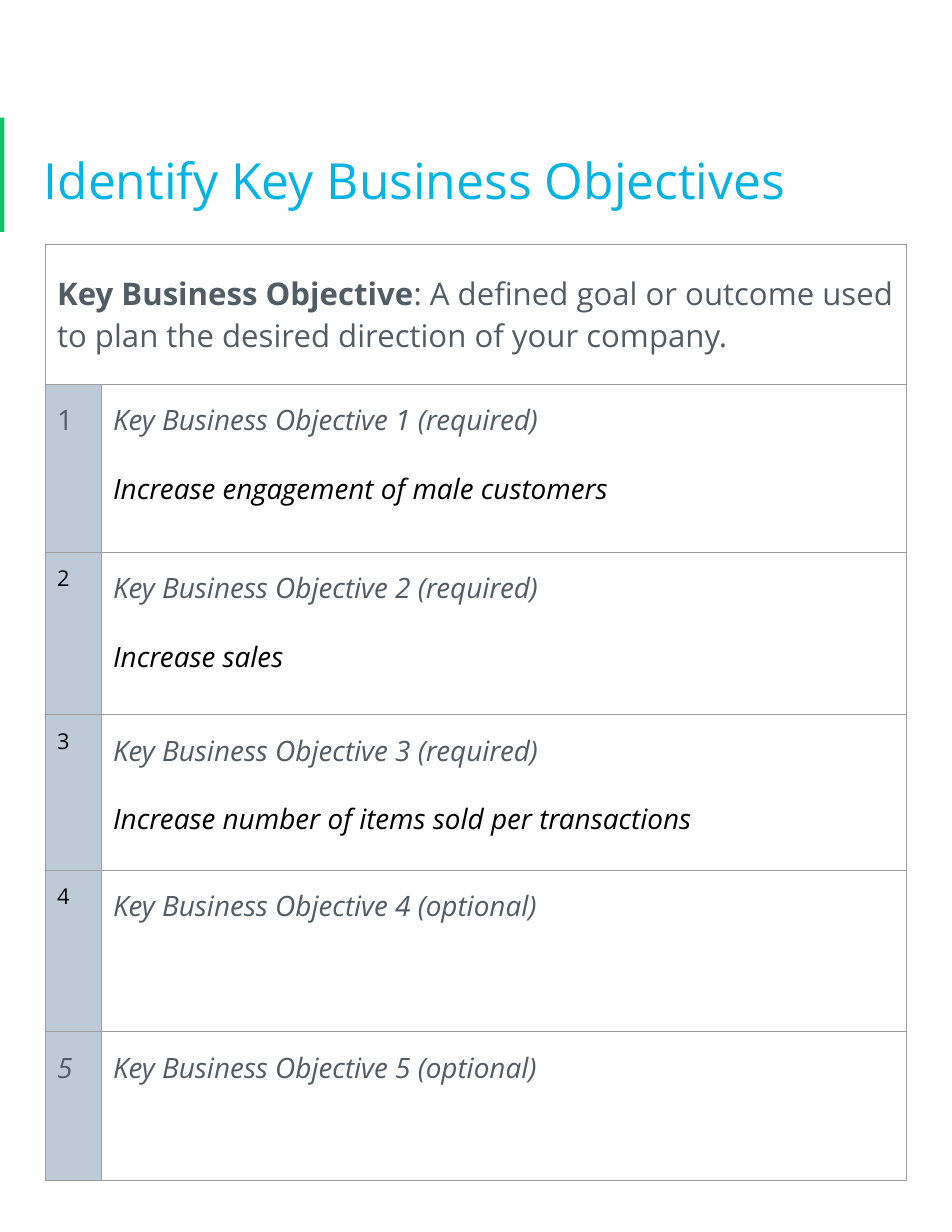
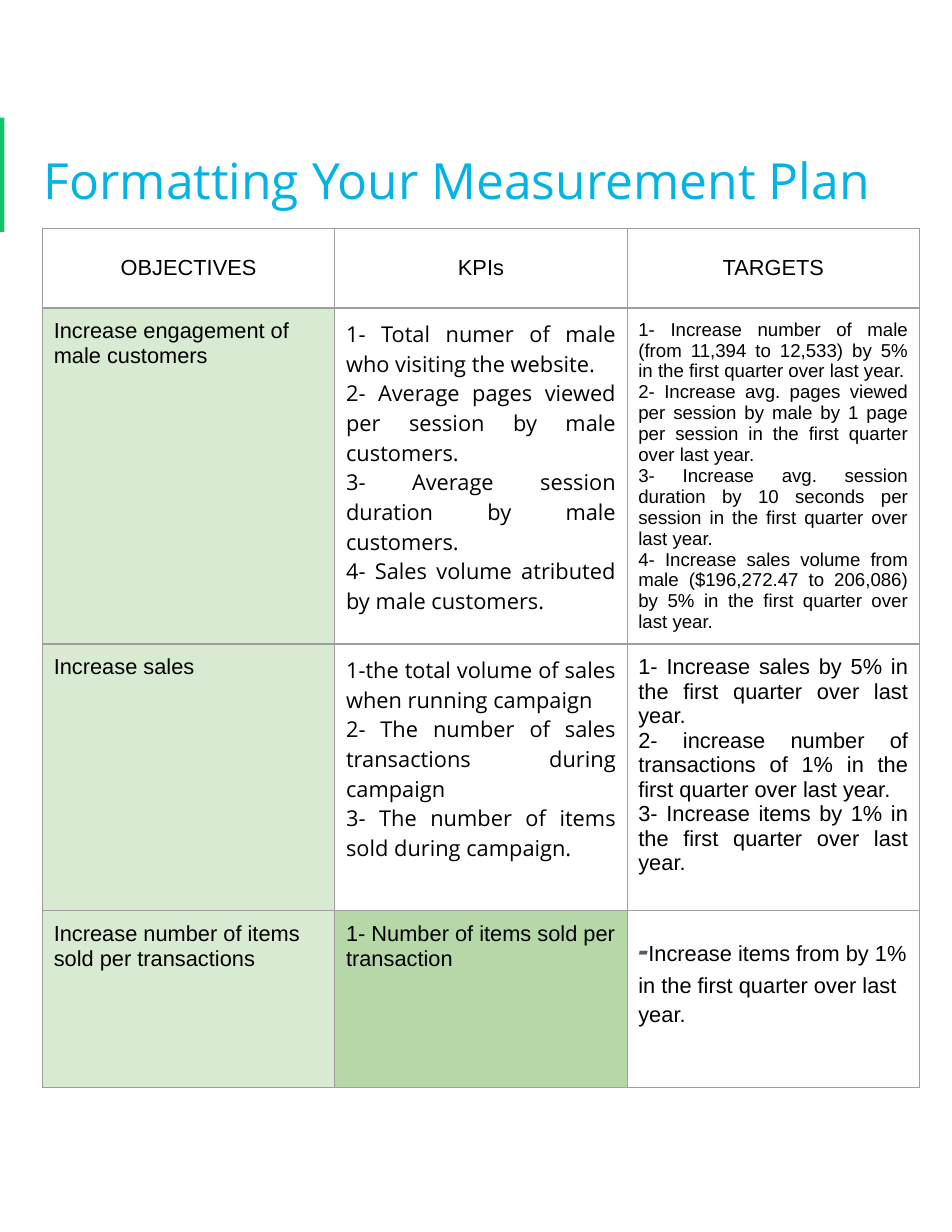
from dataclasses import dataclass, replace

from lxml import etree
from pptx import Presentation
from pptx.dml.color import RGBColor
from pptx.enum.shapes import MSO_SHAPE
from pptx.enum.text import MSO_ANCHOR, MSO_AUTO_SIZE, PP_ALIGN
from pptx.oxml.ns import qn
from pptx.util import Inches, Pt

RECTANGLE = MSO_SHAPE.RECTANGLE
TOP, MIDDLE = MSO_ANCHOR.TOP, MSO_ANCHOR.MIDDLE
LEFT, CENTER, JUSTIFY = PP_ALIGN.LEFT, PP_ALIGN.CENTER, PP_ALIGN.JUSTIFY
NO_AUTOFIT = MSO_AUTO_SIZE.NONE

WHITE = RGBColor(0xFF, 0xFF, 0xFF)
BLACK = RGBColor(0x00, 0x00, 0x00)
SLATE = RGBColor(0x52, 0x5C, 0x65)
TITLE_BLUE = RGBColor(0x02, 0xB3, 0xE4)
BAR_GREEN = RGBColor(0x15, 0xC2, 0x6B)
NUMBER_BLUE = RGBColor(0xBE, 0xCB, 0xD6)
PALE_GREEN = RGBColor(0xD9, 0xEA, 0xD3)
MID_GREEN = RGBColor(0xB6, 0xD7, 0xA8)
BORDER_GREY = RGBColor(0x9E, 0x9E, 0x9E)


@dataclass(frozen=True)
class Style:
    size: int
    font: str = "Open Sans"
    color: RGBColor = BLACK
    bold: bool = False
    italic: bool = False
    align: int = LEFT
    line_spacing: float = 1.0
    space_after: int = 0


TITLE = Style(32, color=TITLE_BLUE, line_spacing=1.15)
DEFINITION = Style(20, color=SLATE, space_after=16)
TERM = replace(DEFINITION, bold=True)
NUMBER = Style(14)
FIRST_NUMBER = Style(18, color=SLATE, line_spacing=1.15, space_after=16)
LAST_NUMBER = replace(FIRST_NUMBER, italic=True)
PROMPT = LAST_NUMBER
ANSWER = replace(PROMPT, color=BLACK)

GOAL = Style(14, "Arial")
HEADING = replace(GOAL, align=CENTER)
KPI = Style(14, align=JUSTIFY)
TARGET = replace(GOAL, align=JUSTIFY)
SMALL_TARGET = replace(TARGET, size=12)
LOOSE_TARGET = replace(GOAL, line_spacing=1.15, space_after=16)
DASH = Style(20, color=SLATE, bold=True, italic=True)

# A paragraph is a style followed by its runs; a run with its own style is a pair.
OBJECTIVES_TITLE = "Identify Key Business Objectives"
OBJECTIVE_DEFINITION = (
    DEFINITION,
    ("Key Business Objective", TERM),
    ": A defined goal or outcome used to plan the desired direction of your company.",
)
# number style, whether required, answer, row height
OBJECTIVES = [
    (FIRST_NUMBER, "required", "Increase engagement of male customers", 1.5),
    (NUMBER, "required", "Increase sales", 1.45),
    (NUMBER, "required", "Increase number of items sold per transactions", 1.39),
    (NUMBER, "optional", None, 1.44),
    (LAST_NUMBER, "optional", None, 1.33),
]

PLAN_TITLE = "Formatting Your Measurement Plan"
PLAN_HEADINGS = ["OBJECTIVES", "KPIs", "TARGETS"]
PLAN = [
    {
        "goal": "Increase engagement of male customers",
        "kpis": [
            (KPI, "1- Total numer of male who visiting the website."),
            (KPI, "2- Average pages viewed per session by male customers."),
            (KPI, "3- Average session duration by male customers."),
            (KPI, "4- Sales volume atributed by male customers."),
        ],
        "targets": [
            (SMALL_TARGET, "1- Increase number of male (from 11,394 to 12,533) by 5% "
                           "in the first quarter over last year."),
            (SMALL_TARGET, "2- Increase avg. pages viewed per session by male by 1 page "
                           "per session in the first quarter over last year."),
            (SMALL_TARGET, "3- Increase avg. session duration by 10 seconds per session "
                           "in the first quarter over last year."),
            (SMALL_TARGET, "4- Increase sales volume from male ($196,272.47 to 206,086) "
                           "by 5% in the first quarter over last year."),
        ],
        "kpi_fill": WHITE,
        "height": 3.0,
    },
    {
        "goal": "Increase sales",
        "kpis": [
            (KPI, "1-the total volume of sales when running campaign"),
            (KPI, "2- The number of sales transactions during campaign"),
            (KPI, "3- The number of items sold during campaign."),
        ],
        "targets": [
            (TARGET, "1- Increase sales by 5% in the first quarter over last year."),
            (TARGET, "2- increase number of transactions of 1% in the first quarter "
                     "over last year."),
            (TARGET, "3- Increase items by 1% in the first quarter over last year."),
        ],
        "kpi_fill": WHITE,
        "height": 2.38,
    },
    {
        "goal": "Increase number of items sold per transactions",
        "kpis": [(GOAL, "1- Number of items sold per transaction")],
        "targets": [
            (LOOSE_TARGET, ("-", DASH),
             "Increase items from by 1% in the first quarter over last year."),
        ],
        "kpi_fill": MID_GREEN,
        "height": 1.58,
    },
]


def set_font(font, style):
    font.name = style.font
    font.size = Pt(style.size)
    font.bold = style.bold
    font.italic = style.italic
    font.color.rgb = style.color


def write(frame, paragraphs):
    for index, (style, *runs) in enumerate(paragraphs):
        paragraph = frame.add_paragraph() if index else frame.paragraphs[0]
        paragraph.alignment = style.align
        paragraph.line_spacing = style.line_spacing
        paragraph.space_before = Pt(0)
        paragraph.space_after = Pt(style.space_after)
        set_font(paragraph.font, style)
        for item in runs:
            text, run_style = (item, None) if isinstance(item, str) else item
            run = paragraph.add_run()
            run.text = text
            if run_style:
                set_font(run.font, run_style)


def set_margins(box):
    box.margin_left = box.margin_right = Inches(0.1)
    box.margin_top = box.margin_bottom = Inches(0.1)


def add_borders(cell):
    properties = cell._tc.get_or_add_tcPr()
    for side in ("lnL", "lnR", "lnT", "lnB"):
        line = etree.SubElement(properties, qn(f"a:{side}"), w=str(Pt(0.75)))
        fill = etree.SubElement(line, qn("a:solidFill"))
        etree.SubElement(fill, qn("a:srgbClr"), val=str(BORDER_GREY))


def fill_cell(cell, paragraphs, fill=WHITE, anchor=TOP):
    set_margins(cell)
    cell.vertical_anchor = anchor
    add_borders(cell)
    cell.fill.solid()
    cell.fill.fore_color.rgb = fill
    write(cell.text_frame, paragraphs)


def add_titled_slide(prs, text):
    """Add a slide with the green side bar and the shared title style."""
    slide = prs.slides.add_slide(prs.slide_layouts[5])
    bar = slide.shapes.add_shape(RECTANGLE, 0, Inches(1.05), Inches(0.04), Inches(1.02))
    bar.shadow.inherit = False
    bar.fill.solid()
    bar.fill.fore_color.rgb = BAR_GREEN
    bar.line.fill.background()

    title = slide.shapes.title
    title.left, title.top = Inches(0.29), Inches(0.95)
    title.width, title.height = Inches(7.92), Inches(1.22)
    frame = title.text_frame
    set_margins(frame)
    frame.word_wrap = True
    frame.auto_size = NO_AUTOFIT
    frame.vertical_anchor = MIDDLE
    write(frame, [(TITLE, text)])
    return slide


def add_grid(slide, left, top, widths, heights):
    table = slide.shapes.add_table(
        len(heights), len(widths), Inches(left), Inches(top),
        Inches(sum(widths)), Inches(sum(heights))).table
    table.first_row = table.horz_banding = False
    for column, width in zip(table.columns, widths):
        column.width = Inches(width)
    for row, height in zip(table.rows, heights):
        row.height = Inches(height)
    return table


def add_objectives_slide(prs):
    slide = add_titled_slide(prs, OBJECTIVES_TITLE)
    heights = [1.25] + [height for *_, height in OBJECTIVES]
    table = add_grid(slide, 0.41, 2.18, [0.5, 7.18], heights)
    table.cell(0, 0).merge(table.cell(0, 1))
    fill_cell(table.cell(0, 0), [OBJECTIVE_DEFINITION], anchor=MIDDLE)
    fill_cell(table.cell(0, 1), [])
    for number, (number_style, need, answer, _) in enumerate(OBJECTIVES, 1):
        entry = [(PROMPT, f"Key Business Objective {number} ({need})")]
        if answer:
            entry.append((ANSWER, answer))
        fill_cell(table.cell(number, 0), [(number_style, str(number))], NUMBER_BLUE)
        fill_cell(table.cell(number, 1), entry)


def add_plan_slide(prs):
    slide = add_titled_slide(prs, PLAN_TITLE)
    heights = [0.71] + [entry["height"] for entry in PLAN]
    table = add_grid(slide, 0.38, 2.04, [2.61] * len(PLAN_HEADINGS), heights)
    for column, heading in enumerate(PLAN_HEADINGS):
        fill_cell(table.cell(0, column), [(HEADING, heading)], anchor=MIDDLE)
    for row, entry in enumerate(PLAN, 1):
        fill_cell(table.cell(row, 0), [(GOAL, entry["goal"])], PALE_GREEN)
        fill_cell(table.cell(row, 1), entry["kpis"], entry["kpi_fill"])
        fill_cell(table.cell(row, 2), entry["targets"])


def main():
    prs = Presentation()
    prs.slide_width, prs.slide_height = Inches(8.5), Inches(11)
    add_objectives_slide(prs)
    add_plan_slide(prs)
    prs.save("out.pptx")


if __name__ == "__main__":
    main()
